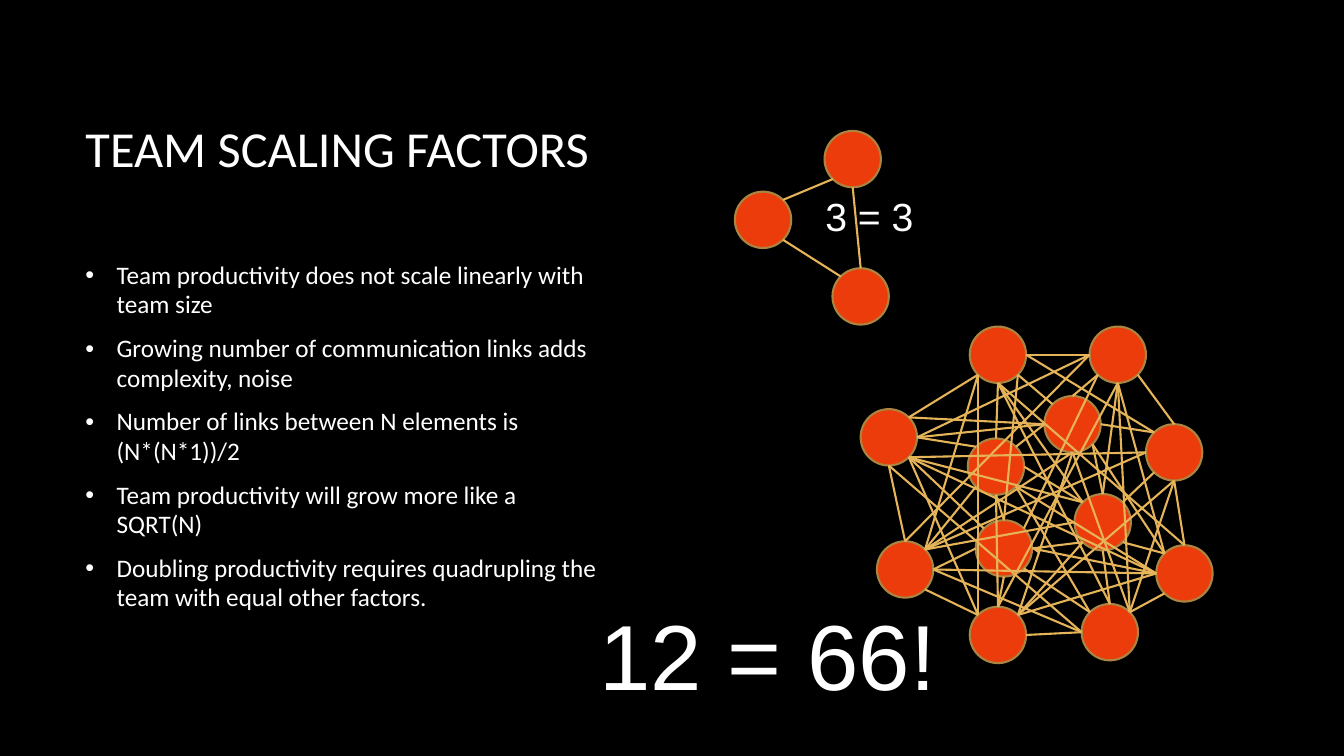
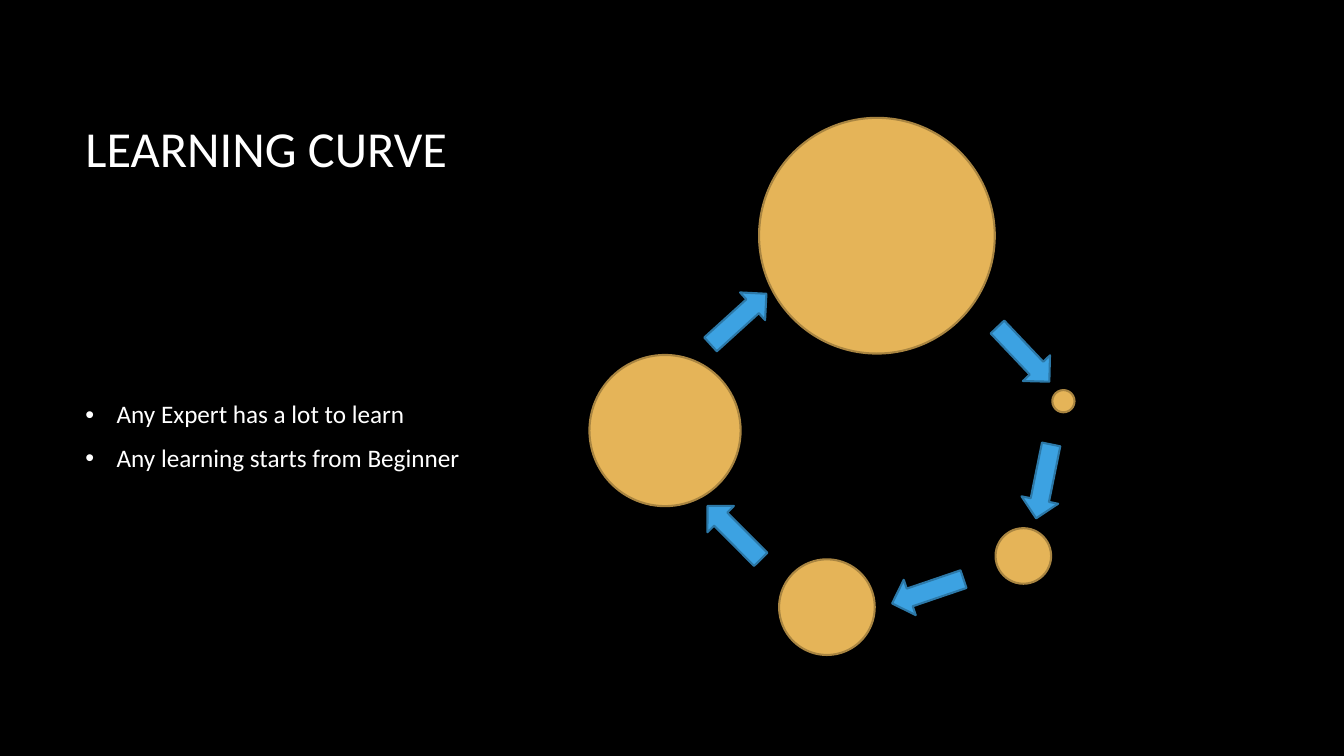
from dataclasses import dataclass
from math import cos, pi, sin

from lxml import etree
from pptx import Presentation
from pptx.dml.color import RGBColor
from pptx.enum.shapes import MSO_CONNECTOR, MSO_SHAPE
from pptx.enum.text import MSO_ANCHOR, MSO_AUTO_SIZE, PP_ALIGN
from pptx.oxml.ns import qn
from pptx.util import Cm, Pt

OVAL = MSO_SHAPE.OVAL
ARROW = MSO_SHAPE.RIGHT_ARROW
STRAIGHT = MSO_CONNECTOR.STRAIGHT
MIDDLE = MSO_ANCHOR.MIDDLE
LEFT = PP_ALIGN.LEFT
GROW = MSO_AUTO_SIZE.SHAPE_TO_FIT_TEXT

BLACK = RGBColor(0x00, 0x00, 0x00)
WHITE = RGBColor(0xFF, 0xFF, 0xFF)
RED = RGBColor(0xED, 0x3C, 0x0B)
GOLD = RGBColor(0xE5, 0xB4, 0x58)
BRONZE = RGBColor(0xA9, 0x85, 0x41)
BLUE = RGBColor(0x3C, 0xA2, 0xE2)
NAVY = RGBColor(0x2C, 0x78, 0xA7)

SANS = "Calibri"
PLAIN = "Arial"
STROKE = Pt(1.5)
NODE = 1.42
INDENT = 0.79


@dataclass(frozen=True)
class Box:
    x: float
    y: float
    w: float
    h: float

    def area(self) -> tuple:
        return Cm(self.x), Cm(self.y), Cm(self.w), Cm(self.h)


@dataclass(frozen=True)
class Item:
    x: float
    y: float
    w: float = NODE
    h: float = NODE
    turn: float = 0

    def box(self) -> Box:
        return Box(self.x - self.w / 2, self.y - self.h / 2, self.w, self.h)

    def site(self, index: int) -> tuple:
        angle = index * pi / 4
        return (Cm(self.x - self.w / 2 * sin(angle)),
                Cm(self.y - self.h / 2 * cos(angle)))


def stage(x: float, y: float, size: float) -> Item:
    return Item(x, y, size, size)


def step(x: float, y: float, turn: float) -> Item:
    return Item(x, y, 1.9, 0.94, turn)


TITLE = Box(1.9, 1.7, 28.14, 4.04)

TRIO = {
    "P": Item(19.23, 5.54),
    "Q": Item(21.49, 4.01),
    "R": Item(21.69, 7.47),
}
TRIO_LINKS = "P7Q3 R0Q4 P5R1"

DOZEN = {
    "A": Item(22.4, 11.02),
    "B": Item(25.15, 8.94),
    "C": Item(22.81, 14.35),
    "D": Item(28.17, 8.94),
    "E": Item(27.03, 10.69),
    "F": Item(27.79, 13.16),
    "G": Item(25.15, 16),
    "H": Item(29.85, 14.45),
    "I": Item(25.3, 13.82),
    "J": Item(27.97, 15.93),
    "K": Item(29.59, 11.4),
    "L": Item(25.1, 11.76),
}
DOZEN_LINKS = """
    A4C0 A7B3 B6D2 D5K0 C5G1 G6J2 J7H3 H0K4 A5I1 I4G0 C6I2 A6L1 B4L0
    B5E1 E0D3 E6K1 L4I0 L7E2 E5F0 I6F3 L6F1 I5J1 J0F4 F7K3 F5H1 H2I6>
    H2G7 H2C6 H1D4 H1E5 H0B4 H2L5 H2A5 J7K4 J7D4 J0B4 J7E4 J1L5 J2C6
    J2A4 G1A5 G0L4 G1B3 G7E4 G7F3 G7K4 G0D4 C7L3 C7B3 C7E4 C0D2 K1B6
    C7F2 C7K2 A6E2 A6D2 A7E2 A5K2 A5F1 B4F1 B5I0 D3I7 D4F0
"""

STAGES = [
    stage(22.1, 5.94, 5.94),
    stage(26.8, 10.11, 0.56),
    stage(16.76, 10.85, 3.81),
    stage(20.84, 15.3, 2.41),
    stage(25.79, 14.01, 1.4),
]
STEPS = [
    step(18.5, 13.42, 225.1),
    step(23.38, 14.9, 161.2),
    step(26.3, 12.13, 101.5),
    step(18.61, 8.04, 317.8),
    step(25.79, 8.93, 46.5),
]


def style(para, size: float, face: str) -> None:
    para.alignment = LEFT
    para.font.size = Pt(size)
    para.font.name = face
    para.font.color.rgb = WHITE


def add_page(deck, title: str):
    slide = deck.slides.add_slide(deck.slide_layouts[5])
    head = slide.shapes.title
    head.left, head.top, head.width, head.height = TITLE.area()
    frame = head.text_frame
    frame.text = title
    frame.vertical_anchor = MIDDLE
    style(frame.paragraphs[0], 36, SANS)
    return slide


def add_list(slide, width: float, lines: list[str]) -> None:
    box = Box(TITLE.x, 5.94, width, 10.13)
    frame = slide.shapes.add_textbox(*box.area()).text_frame
    frame.word_wrap = True
    frame.vertical_anchor = MIDDLE
    frame.text = "\n".join(lines)
    for para in frame.paragraphs:
        style(para, 18, SANS)
        para.space_after = Pt(10)
        para.line_spacing = 0.98
        props = para._p.get_or_add_pPr()
        props.set("marL", str(Cm(INDENT)))
        props.set("indent", str(-Cm(INDENT)))
        font = etree.SubElement(props, qn("a:buFont"))
        font.set("typeface", PLAIN)
        mark = etree.SubElement(props, qn("a:buChar"))
        mark.set("char", "•")
        props.remove(font)
        props.remove(mark)
        place = props.find(qn("a:defRPr"))
        if place is None:
            props.extend([font, mark])
        else:
            place.addprevious(font)
            place.addprevious(mark)


def add_label(slide, box: Box, text: str, size: float) -> None:
    frame = slide.shapes.add_textbox(*box.area()).text_frame
    frame.word_wrap = True
    frame.auto_size = GROW
    frame.text = text
    style(frame.paragraphs[0], size, PLAIN)


def add_item(slide, kind, item: Item, fill: RGBColor, edge: RGBColor) -> None:
    shape = slide.shapes.add_shape(kind, *item.box().area())
    shape.rotation = item.turn
    shape.shadow.inherit = False
    shape.fill.solid()
    shape.fill.fore_color.rgb = fill
    shape.line.color.rgb = edge
    shape.line.width = STROKE


def add_link(slide, start: tuple, end: tuple, head: bool) -> None:
    link = slide.shapes.add_connector(STRAIGHT, *start, *end)
    link.line.color.rgb = GOLD
    link.line.width = STROKE
    if head:
        tip = etree.SubElement(link.line._get_or_add_ln(), qn("a:tailEnd"))
        tip.set("type", "triangle")
    etree.SubElement(link._element.spPr, qn("a:effectLst"))


def add_team(slide, nodes: dict[str, Item], links: str) -> None:
    for node in nodes.values():
        add_item(slide, OVAL, node, RED, BRONZE)
    for link in links.split():
        start = nodes[link[0]].site(int(link[1]))
        end = nodes[link[2]].site(int(link[3]))
        add_link(slide, start, end, link.endswith(">"))


def add_scaling(deck) -> None:
    slide = add_page(deck, "TEAM SCALING FACTORS")
    add_list(slide, 13.46, [
        "Team productivity does not scale linearly with team size",
        "Growing number of communication links adds complexity, noise",
        "Number of links between N elements is (N*(N*1))/2",
        "Team productivity will grow more like a SQRT(N)",
        "Doubling productivity requires quadrupling the team "
        "with equal other factors.",
    ])
    add_team(slide, TRIO, TRIO_LINKS)
    add_label(slide, Box(20.55, 4.72, 3.3, 1.45), "3 = 3", 28)
    add_team(slide, DOZEN, DOZEN_LINKS)
    add_label(slide, Box(14.86, 14.94, 10.54, 3.07), "12 = 66!", 66)


def add_curve(deck) -> None:
    slide = add_page(deck, "LEARNING CURVE")
    add_list(slide, 11.73, [
        "Any Expert has a lot to learn",
        "Any learning starts from Beginner",
    ])
    for item in STAGES:
        add_item(slide, OVAL, item, GOLD, BRONZE)
    for item in STEPS:
        add_item(slide, ARROW, item, BLUE, NAVY)


def main() -> None:
    deck = Presentation()
    deck.slide_width = Cm(33.87)
    deck.slide_height = Cm(19.05)
    back = deck.slide_master.background.fill
    back.solid()
    back.fore_color.rgb = BLACK
    add_scaling(deck)
    add_curve(deck)
    deck.save("out.pptx")


if __name__ == "__main__":
    main()
